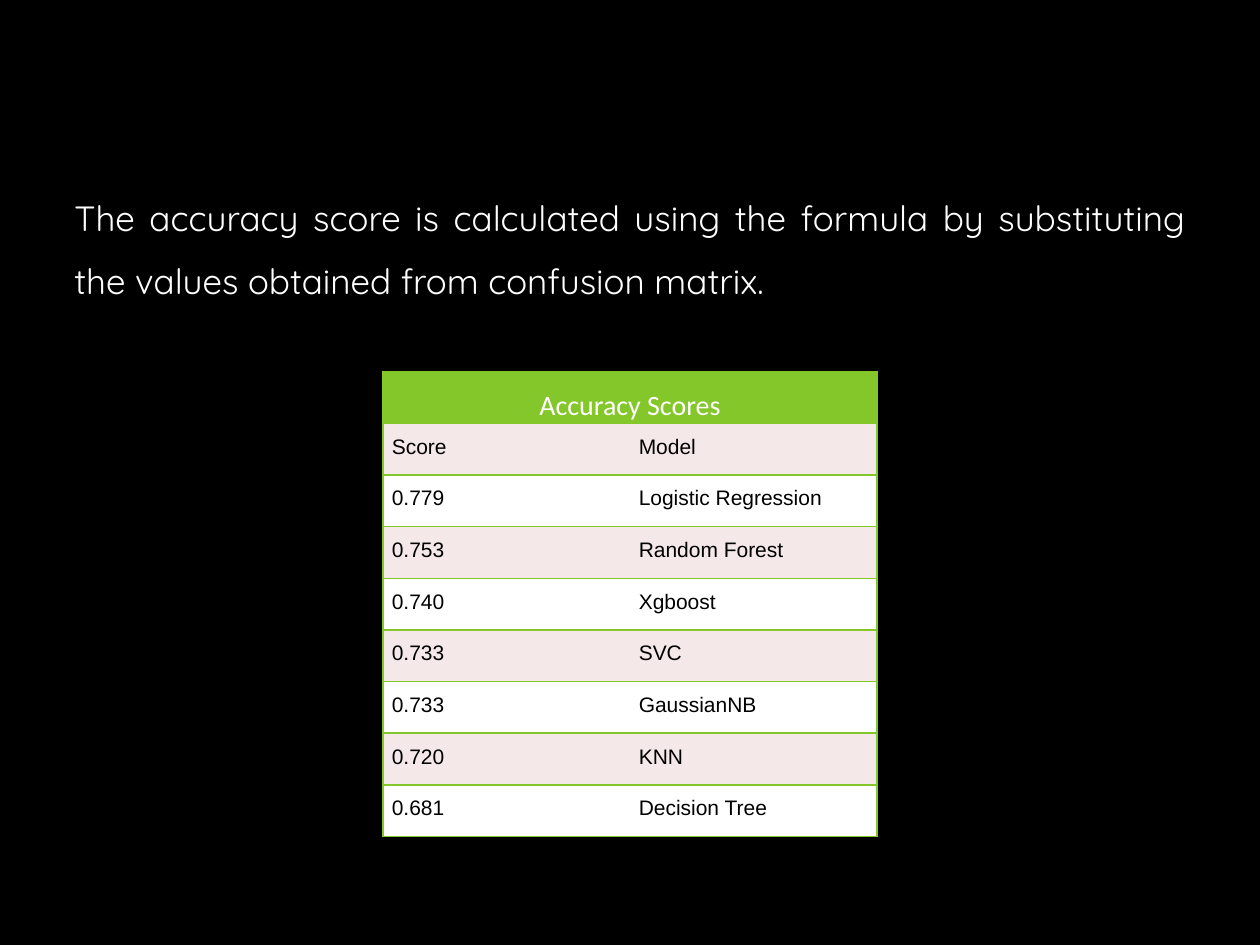
from typing import NamedTuple

from lxml.etree import SubElement
from pptx import Presentation
from pptx.dml.color import RGBColor
from pptx.enum.text import PP_ALIGN
from pptx.oxml.ns import qn
from pptx.util import Inches, Pt

COLORS = {
    "background": "000000",
    "light": "FFFFFF",
    "dark": "000000",
    "accent": "84C72A",
    "band": "F4E8E8",
}
LINE_SPACING = 1.5
COL_W, ROW_H = Inches(1.96), Inches(0.41)


class Style(NamedTuple):
    font: str
    size: int
    color: str
    align: PP_ALIGN = PP_ALIGN.LEFT


class Entry(NamedTuple):
    score: str
    model: str


BODY = Style("Quicksand", 20, "light", PP_ALIGN.JUSTIFY)
HEADING = Style("Calibri", 16, "light", PP_ALIGN.CENTER)
CELL = Style("Arial", 12, "dark")

ENTRIES = [
    Entry("Score", "Model"),
    Entry("0.779", "Logistic Regression"),
    Entry("0.753", "Random Forest"),
    Entry("0.740", "Xgboost"),
    Entry("0.733", "SVC"),
    Entry("0.733", "GaussianNB"),
    Entry("0.720", "KNN"),
    Entry("0.681", "Decision Tree"),
]


def rgb(name: str) -> RGBColor:
    return RGBColor.from_string(COLORS[name])


def write(p, text: str, style: Style) -> None:
    p.text = text
    p.alignment = style.align
    p.line_spacing = LINE_SPACING
    p.space_before = Pt(0)
    p.font.name = style.font
    p.font.size = Pt(style.size)
    p.font.bold = False
    p.font.color.rgb = rgb(style.color)


def set_borders(cell, visible: str) -> None:
    """Draw the sides named in visible (letters of LRTB) and hide the others."""
    props = cell._tc.get_or_add_tcPr()
    for side in "LRTB":
        line = SubElement(props, qn(f"a:ln{side}"), w=str(Pt(1)))
        if side in visible:
            fill = SubElement(line, qn("a:solidFill"))
            SubElement(fill, qn("a:srgbClr"), val=COLORS["accent"])
        else:
            SubElement(line, qn("a:noFill"))


def fill_cell(cell, text: str, style: Style, fill: str, borders: str) -> None:
    cell.margin_left = cell.margin_right = Inches(0.07)
    cell.margin_top = cell.margin_bottom = 0
    set_borders(cell, borders)
    cell.fill.solid()
    cell.fill.fore_color.rgb = rgb(fill)
    write(cell.text_frame.paragraphs[0], text, style)


def add_statement(slide, text: str) -> None:
    sp = slide.placeholders[1]
    sp.left, sp.top = Inches(0.49), Inches(1.34)
    sp.width, sp.height = Inches(9.02), Inches(4.82)
    p = sp.text_frame.paragraphs[0]
    props = p._p.get_or_add_pPr()
    props.set("marL", "0")
    props.set("indent", "0")
    SubElement(props, qn("a:buNone"))
    write(p, text, BODY)


def add_score_table(slide, title: str, entries: list[Entry]) -> None:
    n_rows, n_cols = len(entries) + 1, len(Entry._fields)
    table = slide.shapes.add_table(
        n_rows, n_cols, Inches(3.04), Inches(2.95), n_cols * COL_W, n_rows * ROW_H
    ).table
    table.first_row = table.horz_banding = False
    for column in table.columns:
        column.width = COL_W
    for row in table.rows:
        row.height = ROW_H

    table.cell(0, 0).merge(table.cell(0, n_cols - 1))
    fill_cell(table.cell(0, 0), title, HEADING, "accent", "LRTB")
    for i, entry in enumerate(entries, start=1):
        fill = "band" if i % 2 else "light"
        fill_cell(table.cell(i, 0), entry.score, CELL, fill, "LTB")
        fill_cell(table.cell(i, 1), entry.model, CELL, fill, "RTB")


def main() -> None:
    prs = Presentation()
    prs.slide_width, prs.slide_height = Inches(10), Inches(7.5)
    slide = prs.slides.add_slide(prs.slide_layouts[1])
    slide.background.fill.solid()
    slide.background.fill.fore_color.rgb = rgb("background")
    title = slide.shapes.title.element
    title.getparent().remove(title)

    add_statement(
        slide,
        "The accuracy score is calculated using the formula by substituting "
        "the values obtained from confusion matrix.",
    )
    add_score_table(slide, "Accuracy Scores", ENTRIES)
    prs.save("out.pptx")


if __name__ == "__main__":
    main()
